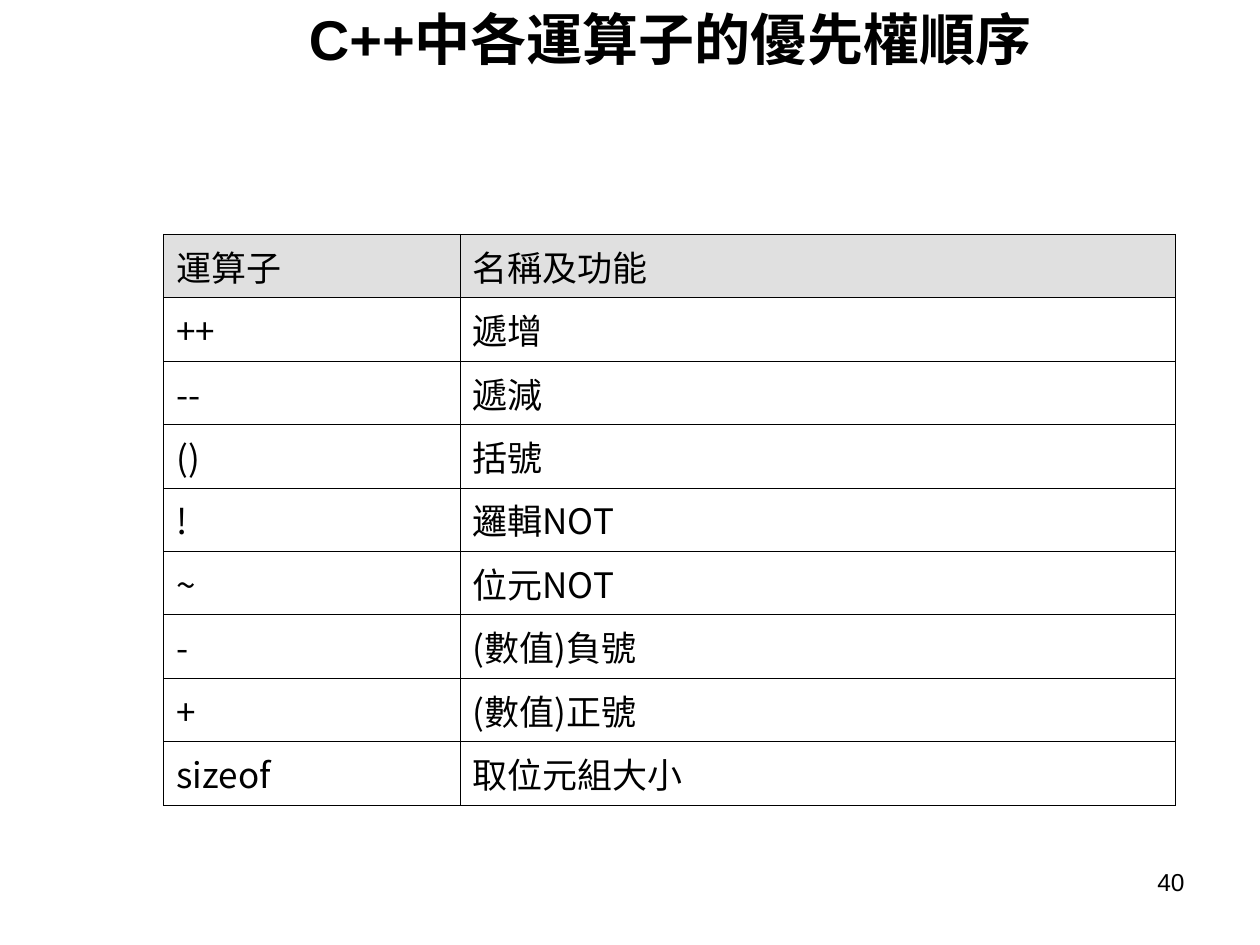
from dataclasses import dataclass

from pptx import Presentation
from pptx.dml.color import RGBColor
from pptx.enum import text
from pptx.oxml import parse_xml
from pptx.oxml.ns import nsdecls
from pptx.util import Inches, Pt


@dataclass(frozen=True)
class Theme:
    ink: RGBColor = RGBColor(0, 0, 0)
    header: RGBColor = RGBColor(0xE0, 0xE0, 0xE0)
    latin: str = "Arial"
    cjk: str = "Noto Sans CJK SC"
    title_size: int = 32
    table_size: int = 20
    number_size: int = 14
    border: float = 0.45


theme = Theme()


def write(frame, words, size, font_name, alignment, bold=False):
    paragraph = frame.paragraphs[0]
    paragraph.alignment = alignment
    run = paragraph.add_run()
    run.text = words
    font_format = {"size": Pt(size), "bold": bold, "name": font_name}
    for name, value in font_format.items():
        setattr(run.font, name, value)
    run.font.color.rgb = theme.ink
    latin = run.font._element.find("{*}latin")
    latin.addnext(parse_xml(f'<a:ea {nsdecls("a")} typeface="{theme.cjk}"/>'))


def add_borders(cell):
    properties = cell._tc.get_or_add_tcPr()
    for index, side in enumerate(("lnL", "lnR", "lnT", "lnB")):
        properties.insert(index, parse_xml(
            f'<a:{side} {nsdecls("a")} w="{Pt(theme.border)}"><a:solidFill>'
            f'<a:srgbClr val="{theme.ink}"/></a:solidFill></a:{side}>'))


presentation = Presentation()
presentation.slide_width = Inches(10)
presentation.slide_height = Inches(7.5)
slide = presentation.slides.add_slide(presentation.slide_layouts[6])

title = slide.shapes.add_textbox(
    Inches(1.14), Inches(0.01), Inches(8.36), Inches(0.58))
title.text_frame.word_wrap = True
title.text_frame.vertical_anchor = text.MSO_ANCHOR.MIDDLE
write(title.text_frame, "C++中各運算子的優先權順序", theme.title_size,
      theme.latin, text.PP_ALIGN.CENTER, bold=True)

operators = [
    ("運算子", "名稱及功能"),
    ("++", "遞增"),
    ("--", "遞減"),
    ("()", "括號"),
    ("!", "邏輯NOT"),
    ("~", "位元NOT"),
    ("-", "(數值)負號"),
    ("+", "(數值)正號"),
    ("sizeof", "取位元組大小"),
]
column_widths = (2.35, 5.68)
table_height = Inches(4.53)
table = slide.shapes.add_table(
    len(operators), len(column_widths), Inches(1.3), Inches(1.86),
    Inches(sum(column_widths)), table_height).table
table.first_row = table.horz_banding = False
for column, width in zip(table.columns, column_widths):
    column.width = Inches(width)

for row_index, labels in enumerate(operators):
    for column_index, label in enumerate(labels):
        cell = table.cell(row_index, column_index)
        if row_index == 0:
            cell.fill.solid()
            cell.fill.fore_color.rgb = theme.header
        else:
            cell.fill.background()
        add_borders(cell)
        write(cell.text_frame, label, theme.table_size, theme.cjk,
              text.PP_ALIGN.LEFT)

number = slide.shapes.add_textbox(
    Inches(7.17), Inches(6.83), Inches(2.33), Inches(0.52))
number.text_frame.word_wrap = True
write(number.text_frame, "40", theme.number_size, theme.latin,
      text.PP_ALIGN.RIGHT)

presentation.save("out.pptx")
